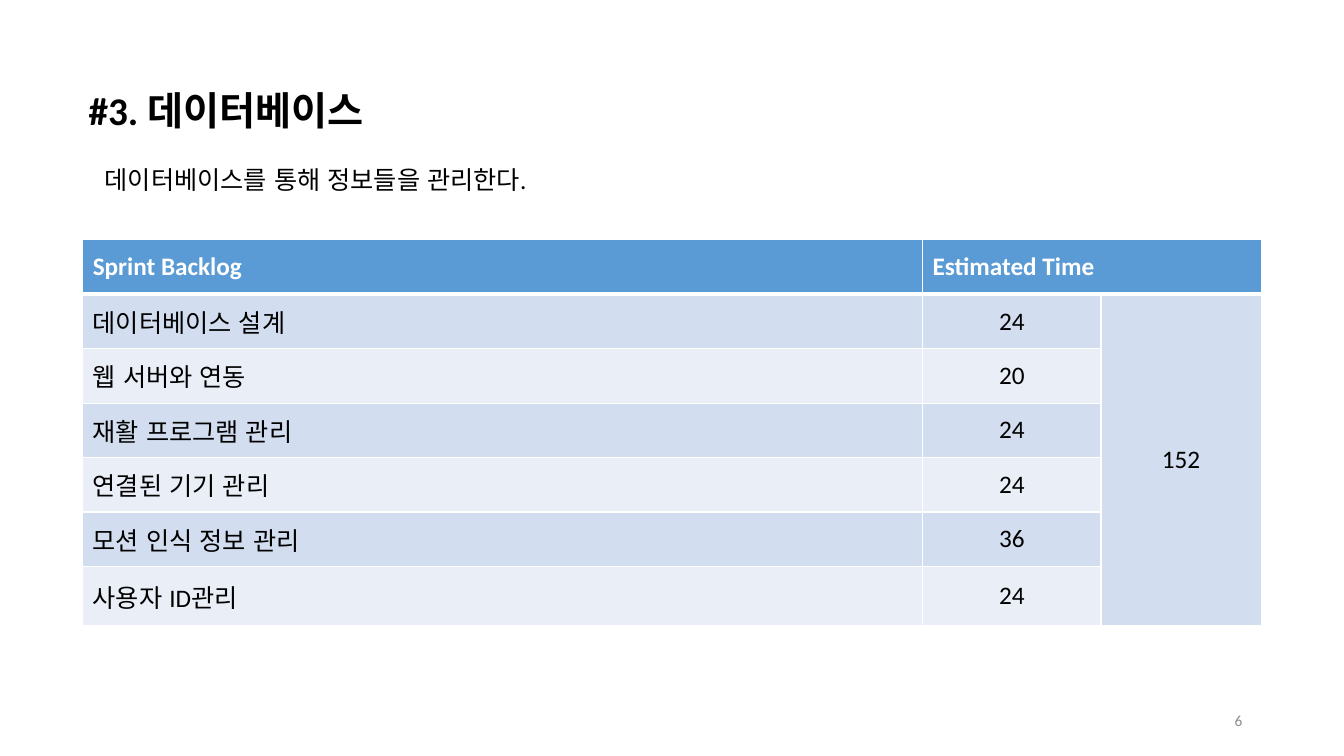
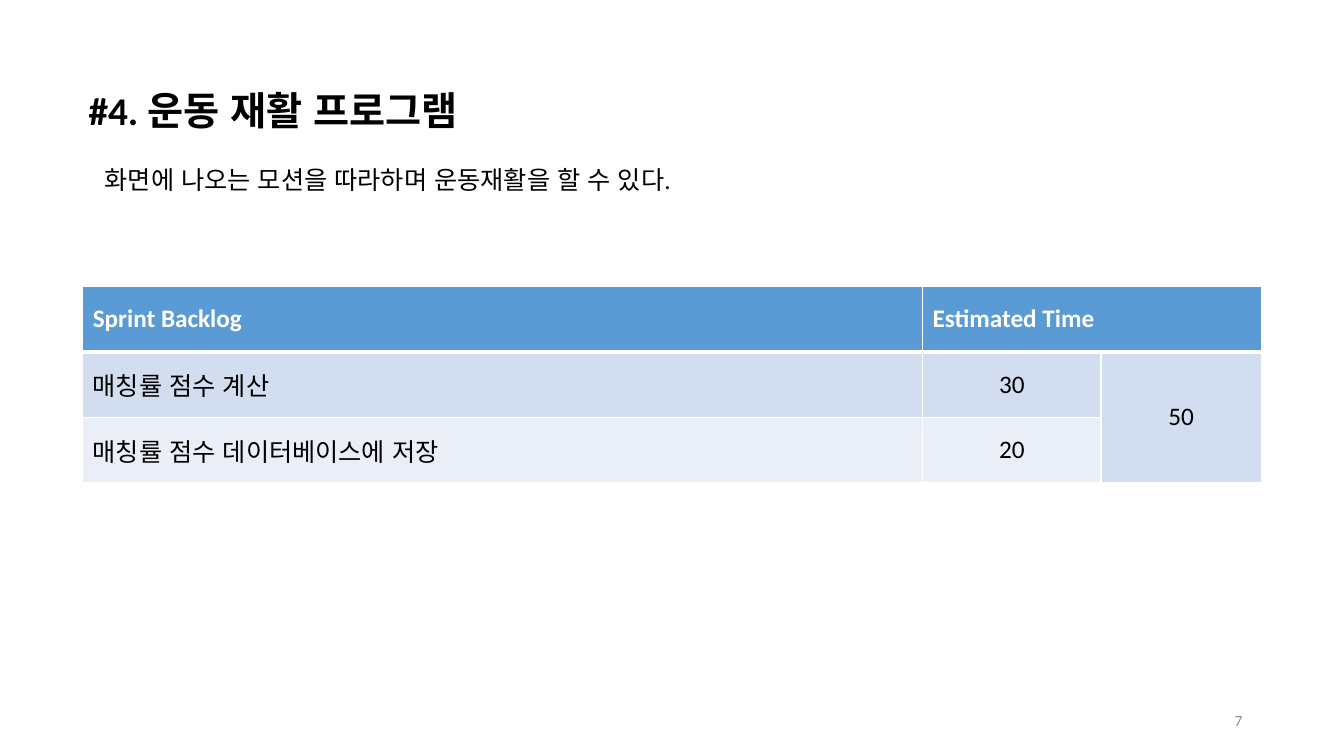
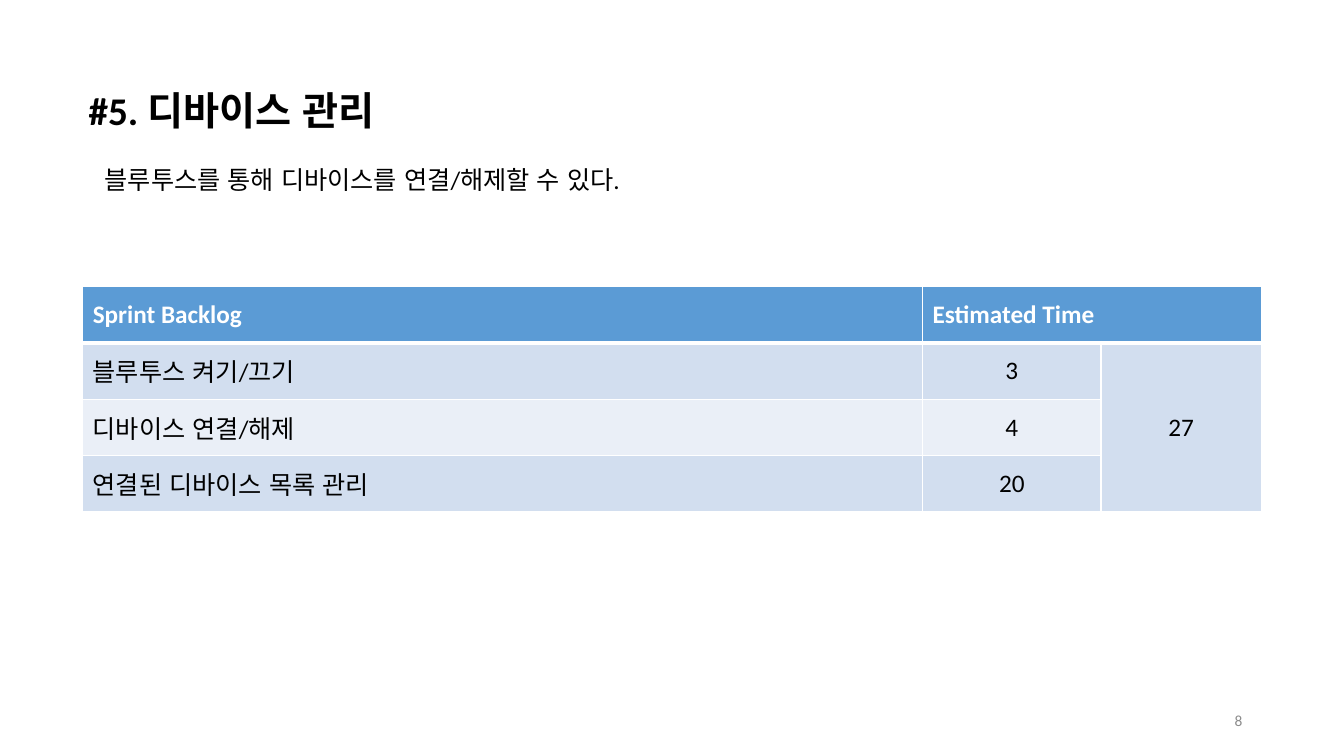
from lxml.etree import SubElement
from pptx import Presentation
from pptx.dml.color import RGBColor
from pptx.enum.lang import MSO_LANGUAGE_ID
from pptx.enum.text import MSO_ANCHOR, PP_ALIGN
from pptx.oxml.ns import qn
from pptx.util import Inches, Pt

# Content: title and its width, summary, table top, row height, last row, tasks with hours
PAGES = [
    dict(title="#3. 데이터베이스", wide=3.31, note="데이터베이스를 통해 정보들을 관리한다.",
         top=2.38, row=0.54, last=0.59,
         tasks=[("데이터베이스 설계", 24), ("웹 서버와 연동", 20),
                ("재활 프로그램 관리", 24), ("연결된 기기 관리", 24),
                ("모션 인식 정보 관리", 36), ("사용자 ID관리", 24)]),
    dict(title="#4. 운동 재활 프로그램", wide=4.5,
         note="화면에 나오는 모션을 따라하며 운동재활을 할 수 있다.",
         top=2.84, row=0.65, last=0.65,
         tasks=[("매칭률 점수 계산", 30), ("매칭률 점수 데이터베이스에 저장", 20)]),
    dict(title="#5. 디바이스 관리", wide=4.2,
         note="블루투스를 통해 디바이스를 연결/해제할 수 있다.",
         top=2.84, row=0.56, last=0.56,
         tasks=[("블루투스 켜기/끄기", 3), ("디바이스 연결/해제", 4),
                ("연결된 디바이스 목록 관리", 20)]),
]
HEADS = ("Sprint Backlog", "Estimated Time", "")
FIRST = 6  # number of the first page

# Shared look
FONT = "Calibri"
BLACK, WHITE, GREY = "000000", "FFFFFF", "8C8C8C"
BLUE, BANDS = "5B9BD5", ("D2DEEF", "EAEFF7")
LEFT, COLS = 0.82, (8.33, 1.77, 1.59)


def paint(fill, color):
    fill.solid()
    fill.fore_color.rgb = RGBColor.from_string(color)


def write(frame, text, size, color=BLACK, bold=False, align=PP_ALIGN.LEFT):
    para = frame.paragraphs[0]
    para.alignment = align
    run = para.add_run()
    run.text = text
    font = run.font
    font.name, font.size, font.bold = FONT, Pt(size), bold
    font.language_id = MSO_LANGUAGE_ID.KOREAN
    paint(font.fill, color)


def label(slide, box, text, size, anchor=MSO_ANCHOR.TOP, **style):
    frame = slide.shapes.add_textbox(*map(Inches, box)).text_frame
    frame.word_wrap = True
    frame.vertical_anchor = anchor
    write(frame, text, size, **style)


def edge(cell, **widths):
    """Draw white cell borders; they must precede the fill."""
    props = cell._tc.get_or_add_tcPr()
    for spot, side in enumerate("LRTB"):
        line = SubElement(props, qn("a:ln" + side), w=str(Pt(widths.get(side, 1))))
        SubElement(SubElement(line, qn("a:solidFill")), qn("a:srgbClr"), val=WHITE)
        props.insert(spot, line)


def backlog(slide, page):
    tasks = page["tasks"]
    count = len(tasks)
    highs = [page["row"]] * count + [page["last"]]
    box = (LEFT, page["top"], sum(COLS), sum(highs))
    grid = slide.shapes.add_table(count + 1, len(COLS), *map(Inches, box)).table
    for col, width in zip(grid.columns, COLS):
        col.width = Inches(width)
    for row, high in zip(grid.rows, highs):
        row.height = Inches(high)

    # The total sits beside the first task and spans them all
    total = sum(hours for _, hours in tasks)
    rows = [HEADS] + [(name, hours, "") for name, hours in tasks]
    rows[1] = (*tasks[0], total)
    grid.cell(0, 1).merge(grid.cell(0, 2))
    grid.cell(1, 2).merge(grid.cell(count, 2))

    for r, row in enumerate(rows):
        head = r == 0
        for c, value in enumerate(row):
            cell = grid.cell(r, c)
            cell.vertical_anchor = MSO_ANCHOR.MIDDLE
            paint(cell.fill, BLUE if head else BANDS[(r - 1) % 2])
            edge(cell, T=3 if r == 1 else 1, B=3 if head else 1)
            if value != "":
                write(cell.text_frame, str(value), 18, WHITE if head else BLACK, head,
                      PP_ALIGN.LEFT if head or c == 0 else PP_ALIGN.CENTER)


def main():
    deck = Presentation()
    deck.slide_width, deck.slide_height = Inches(13.33), Inches(7.5)
    for number, page in enumerate(PAGES, FIRST):
        slide = deck.slides.add_slide(deck.slide_layouts[6])
        label(slide, (0.78, 0.81, page["wide"], 0.57), page["title"], 28, bold=True)
        label(slide, (0.94, 1.58, 7.16, 0.4), page["note"], 18)
        backlog(slide, page)
        label(slide, (9.42, 6.95, 3, 0.4), str(number), 11, MSO_ANCHOR.MIDDLE,
              color=GREY, align=PP_ALIGN.RIGHT)
    deck.save("out.pptx")


if __name__ == "__main__":
    main()
